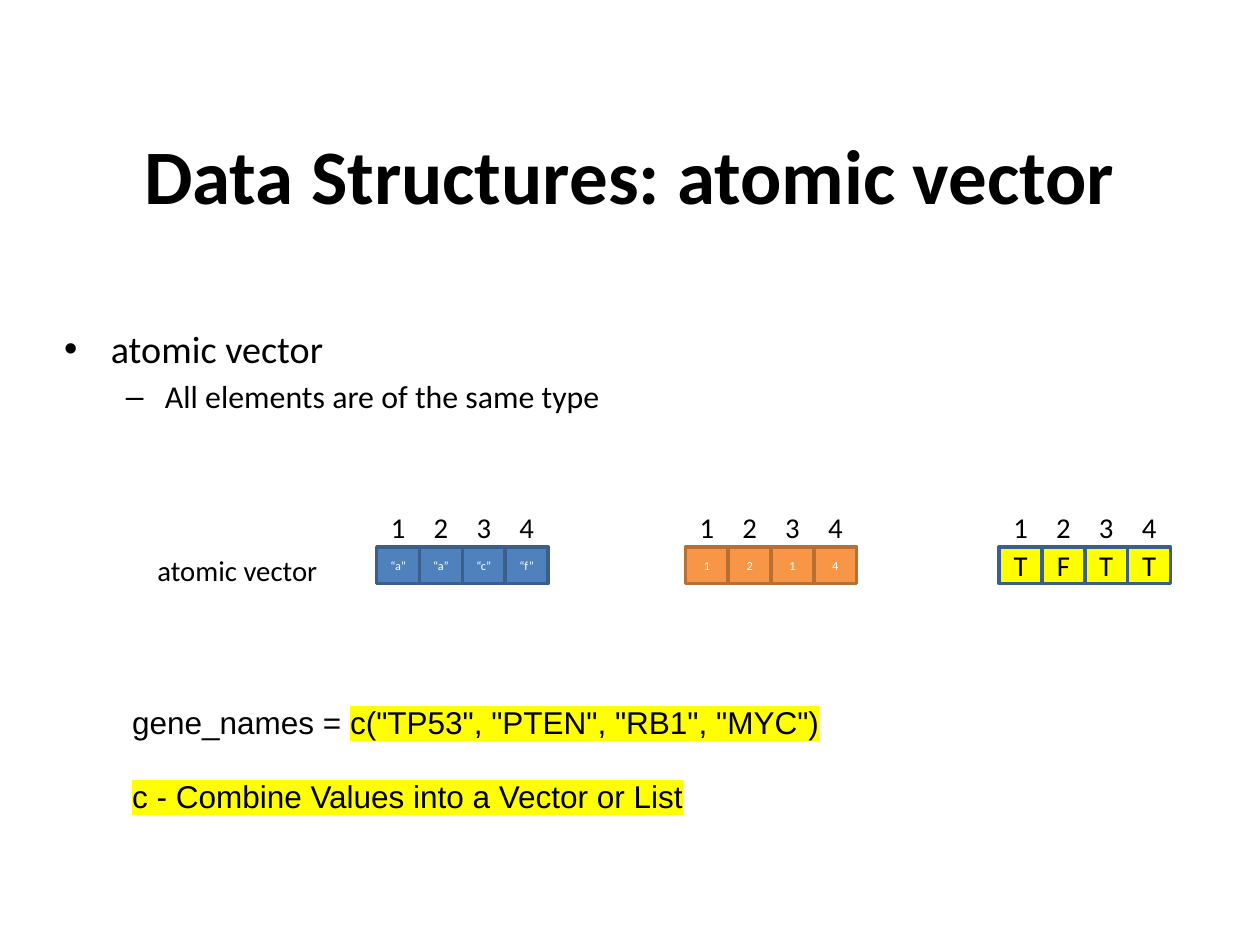
from dataclasses import dataclass

from lxml import etree
from pptx import Presentation
from pptx import util as u
from pptx.dml.color import RGBColor
from pptx.enum import shapes, text
from pptx.oxml.ns import qn


@dataclass(frozen=True)
class Theme:
    """Colours, fonts and type sizes of the deck."""
    ink: str = "000000"
    paper: str = "FFFFFF"
    blue: str = "4F81BD"
    blue_edge: str = "3A5F8C"
    orange: str = "F79646"
    orange_edge: str = "B76F34"
    yellow: str = "FFFF00"
    body_font: str = "Calibri"
    code_font: str = "Arial"
    title: float = 44
    bullet: float = 21.8
    sub_bullet: float = 18.2
    label: float = 16.4
    tiny: float = 7
    code: float = 18


THEME = Theme()
WIDTH, HEIGHT = 10, 7.5
CELL, CELL_HEIGHT, LABEL_HEIGHT = 0.34, 0.29, 0.37
LEFT, CENTER = text.PP_ALIGN.LEFT, text.PP_ALIGN.CENTER
TOP, MIDDLE = text.MSO_ANCHOR.TOP, text.MSO_ANCHOR.MIDDLE


def inches(box):
    """Turn a box of inches into lengths."""
    return [u.Inches(value) for value in box]


def add_box(page, box, insets=(0, 0), anchor=TOP):
    """Add a wrapping text box and return its text frame."""
    frame = page.shapes.add_textbox(*inches(box)).text_frame
    set_frame(frame, insets, anchor)
    return frame


def set_frame(frame, insets, anchor):
    """Set wrapping, insets and anchor of a text frame."""
    frame.word_wrap = True
    frame.vertical_anchor = anchor
    frame.margin_left = frame.margin_right = u.Inches(insets[0])
    frame.margin_top = frame.margin_bottom = u.Inches(insets[1])


def write(para, words, size=THEME.label, font=THEME.body_font, color=THEME.ink,
          bold=False, align=LEFT, before=0, highlight=None):
    """Write a formatted run at the end of a paragraph."""
    para.alignment = align
    para.space_before = u.Pt(before)
    span = para.add_run()
    span.text = words
    span.font.size, span.font.bold, span.font.name = u.Pt(size), bold, font
    span.font.color.rgb = RGBColor.from_string(color)
    if highlight:
        mark = etree.Element(qn("a:highlight"))
        etree.SubElement(mark, qn("a:srgbClr"), val=highlight)
        span.font._element.find(qn("a:latin")).addprevious(mark)


def set_bullet(para, sign, margin, indent):
    """Give a paragraph a hanging bullet."""
    props = para._p.get_or_add_pPr()
    props.set("marL", str(u.Inches(margin)))
    props.set("indent", str(u.Inches(indent)))
    etree.SubElement(props, qn("a:buFont"), typeface="Arial")
    etree.SubElement(props, qn("a:buChar"), char=sign)


def add_title(page, box, words):
    """Place the slide title."""
    frame = add_box(page, box, anchor=MIDDLE)
    write(frame.paragraphs[0], words, size=THEME.title, bold=True, align=CENTER)


def add_points(page, box, point, detail):
    """Place a bullet with one bullet below it."""
    frame = add_box(page, box)
    first, second = frame.paragraphs[0], frame.add_paragraph()
    write(first, point, size=THEME.bullet, before=4.3)
    set_bullet(first, "•", 0.38, -0.37)
    second.level = 1
    write(second, detail, size=THEME.sub_bullet, before=3.6)
    set_bullet(second, "–", 0.81, -0.31)


def add_vector(page, left, top, values, fill, edge, **style):
    """Place a row of cells with their index numbers above."""
    for index, value in enumerate(values):
        x = left + index * CELL
        cell = page.shapes.add_shape(shapes.MSO_SHAPE.RECTANGLE,
                                     *inches((x, top, CELL, CELL_HEIGHT)))
        cell.shadow.inherit = False
        cell.fill.solid()
        cell.fill.fore_color.rgb = RGBColor.from_string(fill)
        cell.line.color.rgb = RGBColor.from_string(edge)
        cell.line.width = u.Pt(2)
        set_frame(cell.text_frame, (0, 0), MIDDLE)
        write(cell.text_frame.paragraphs[0], value, align=CENTER, **style)
        frame = add_box(page, (x, top - CELL, CELL, LABEL_HEIGHT), (0, 0.05))
        write(frame.paragraphs[0], str(index + 1), align=CENTER)


def add_vectors(page, left, top):
    """Place the row label and the three example vectors."""
    frame = add_box(page, (left, top, 1.49, LABEL_HEIGHT), (0.1, 0.05))
    write(frame.paragraphs[0], "atomic vector")
    small = {"size": THEME.tiny, "color": THEME.paper}
    for offset, values, fill, edge, style in (
            (1.84, ("“a”", "“a”", "“c”", "“f”"), THEME.blue, THEME.blue_edge, small),
            (4.29, "1214", THEME.orange, THEME.orange_edge, small),
            (6.78, "TFTT", THEME.yellow, THEME.blue_edge, {})):
        add_vector(page, left + offset, top, values, fill, edge, **style)


def add_code(page, box):
    """Place the code line and its explanation."""
    frame = add_box(page, box, (0.1, 0.05))
    style = {"size": THEME.code, "font": THEME.code_font}
    line, note = frame.paragraphs[0], frame.add_paragraph()
    write(line, "gene_names = ", **style)
    write(line, 'c("TP53", "PTEN", "RB1", "MYC")', highlight=THEME.yellow, **style)
    write(note, "c - Combine Values into a Vector or List", before=20.7,
          highlight=THEME.yellow, **style)


def build():
    """Build and save the deck."""
    deck = Presentation()
    deck.slide_width, deck.slide_height = inches((WIDTH, HEIGHT))
    page = deck.slides.add_slide(deck.slide_layouts[6])
    margin, column = 0.05 * WIDTH, 0.9 * WIDTH
    add_title(page, (margin, 0.1 * HEIGHT, column, HEIGHT / 6), "Data Structures: atomic vector")
    add_points(page, (margin, 2.58, column, 1.1),
               "atomic vector", "All elements are of the same type")
    add_vectors(page, 1.15, 4.34)
    add_code(page, (0.95, 5.53, 5.69, 1))
    deck.save("out.pptx")


build()
